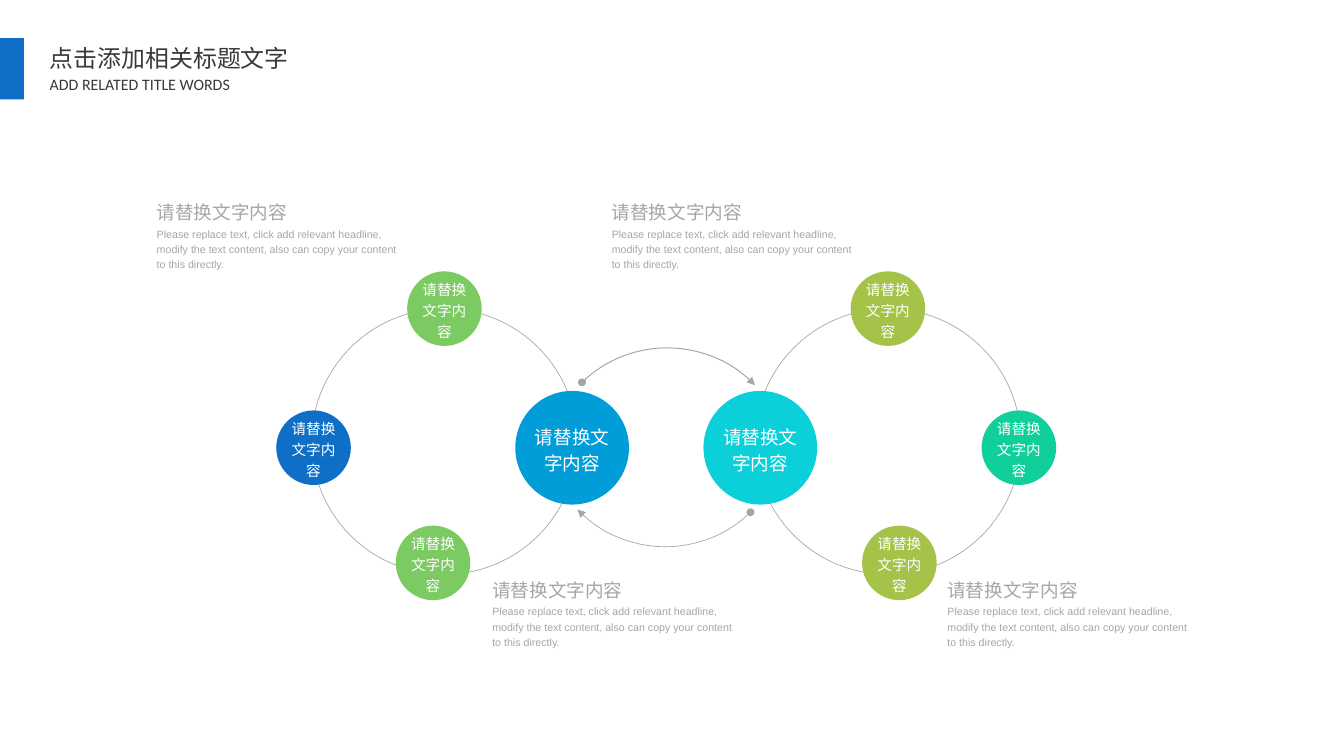
import pptx
import pptx.util
import pptx.dml.color
import pptx.enum.shapes
import pptx.enum.text
import pptx.oxml.ns
import lxml.etree
from dataclasses import dataclass

TITLE = "点击添加相关标题文字"
SUBTITLE = "ADD RELATED TITLE WORDS"
LABEL = "请替换文字内容"
DETAIL = ("Please replace text, click add relevant headline, modify the text content, "
          "also can copy your content to this directly.")


@dataclass(frozen=True)
class Theme:
    accent: str = "0F6FC6"
    ink: str = "3B3838"
    gray: str = "A6A6A6"
    white: str = "FFFFFF"
    body_font: str = "Arial"
    title_font: str = "Noto Sans CJK SC"
    subtitle_font: str = "Calibri"
    title_size: int = 18
    subtitle_size: int = 12
    heading_size: int = 14
    node_size: int = 11
    detail_size: int = 8


theme = Theme()

# All lengths below are percentages of the slide width.
AXIS = 49.57
RING = (16.5, 32.86, 19.77)
NODES = [
    (7.0, 33.32, 8.46, theme.heading_size, ("009DD9", "0BD0D9")),
    (26.24, 33.32, 5.55, theme.node_size, (theme.accent, "10CF9B")),
    (16.5, 22.97, 5.55, theme.node_size, ("7CCA62", "A5C249")),
    (17.35, 41.89, 5.55, theme.node_size, ("7CCA62", "A5C249")),
]
ARC_SIZE = 18.21
ARCS = [(49.64, 34.99, 315.9, 0.75), (49.5, 31.58, 135.9, 0.5)]
CAPTION_ROWS = [(36.63, 42.75), (11.66, 14.65)]
CAPTION_STEP = 33.86
DETAIL_DROP = 2.1

Shape = pptx.enum.shapes.MSO_SHAPE
Align = pptx.enum.text.PP_ALIGN
Anchor = pptx.enum.text.MSO_ANCHOR

deck = pptx.Presentation()
deck.slide_width = pptx.util.Inches(14.06)
deck.slide_height = pptx.util.Inches(7.91)
page = deck.slides.add_slide(deck.slide_layouts[6])


def share(percent):
    return round(deck.slide_width * percent / 100)


def color(value):
    return pptx.dml.color.RGBColor.from_string(value)


def add_figure(kind, left, top, width, height, fill=None, line_width=None):
    figure = page.shapes.add_shape(kind, *map(share, (left, top, width, height)))
    figure.shadow.inherit = False
    if fill:
        figure.fill.solid()
        figure.fill.fore_color.rgb = color(fill)
    else:
        figure.fill.background()
    if line_width:
        figure.line.color.rgb = color(theme.gray)
        figure.line.width = pptx.util.Pt(line_width)
    else:
        figure.line.fill.background()
    return figure


def add_round(kind, center_x, center_y, size, **style):
    return add_figure(kind, center_x - size / 2, center_y - size / 2, size, size, **style)


def write(box, text, size, ink, font=theme.body_font, spacing=1.2, align=Align.LEFT,
          wrap=True, margins=(0, 0)):
    frame = box.text_frame
    frame.word_wrap = wrap
    frame.margin_left = frame.margin_right = pptx.util.Inches(margins[0])
    frame.margin_top = frame.margin_bottom = pptx.util.Inches(margins[1])
    para = frame.paragraphs[0]
    para.text = text
    para.alignment = align
    if spacing:
        para.line_spacing = spacing
    para.font.name = font
    para.font.size = pptx.util.Pt(size)
    para.font.color.rgb = color(ink)
    return frame


def add_text(left, top, width, height, text, size, ink, **style):
    box = page.shapes.add_textbox(*map(share, (left, top, width, height)))
    frame = write(box, text, size, ink, **style)
    frame.auto_size = pptx.enum.text.MSO_AUTO_SIZE.SHAPE_TO_FIT_TEXT


def add_loop(side, direction):
    offset, center_y, size = RING
    add_round(Shape.OVAL, AXIS + direction * offset, center_y, size, line_width=0.5)
    for offset, center_y, size, text_size, fills in NODES:
        node = add_round(Shape.OVAL, AXIS + direction * offset, center_y, size, fill=fills[side])
        frame = write(node, LABEL, text_size, theme.white, align=Align.CENTER)
        frame.vertical_anchor = Anchor.MIDDLE


def add_arc(center_x, center_y, rotation, line_width):
    arc = add_round(Shape.ARC, center_x, center_y, ARC_SIZE, line_width=line_width)
    arc.rotation = rotation
    outline = arc.line._get_or_add_ln()
    for end, head in (("a:headEnd", "oval"), ("a:tailEnd", "triangle")):
        lxml.etree.SubElement(outline, pptx.oxml.ns.qn(end), type=head)


def add_caption(left, top):
    add_text(left, top + DETAIL_DROP, 18.35, 3.41, DETAIL, theme.detail_size, theme.gray)
    add_text(left, top, 9.74, 1.99, LABEL, theme.heading_size, theme.gray, wrap=False)


add_figure(Shape.RECTANGLE, 0, 2.84, 1.78, 4.55, fill=theme.accent)
for side, direction in enumerate((-1, 1)):
    add_loop(side, direction)
for arc in ARCS:
    add_arc(*arc)
for left, top in CAPTION_ROWS:
    for column in range(2):
        add_caption(left + column * CAPTION_STEP, top)

header = dict(spacing=None, wrap=False, margins=(0.11, 0.05))
add_text(2.92, 2.92, 19.49, 2.92, TITLE, theme.title_size, theme.ink,
         font=theme.title_font, **header)
add_text(2.92, 5.19, 18.28, 2.2, SUBTITLE, theme.subtitle_size, theme.ink,
         font=theme.subtitle_font, **header)

deck.save("out.pptx")
